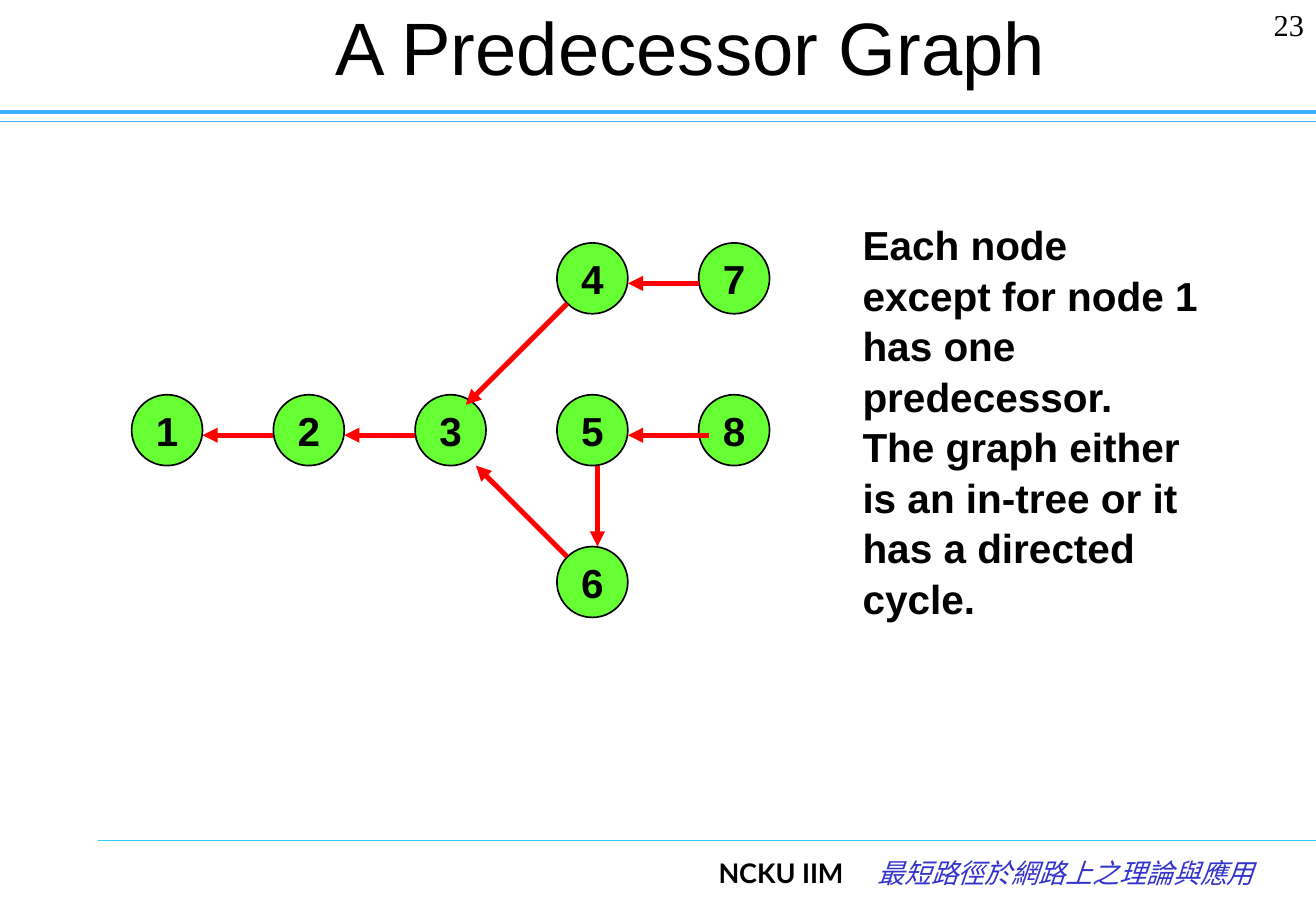
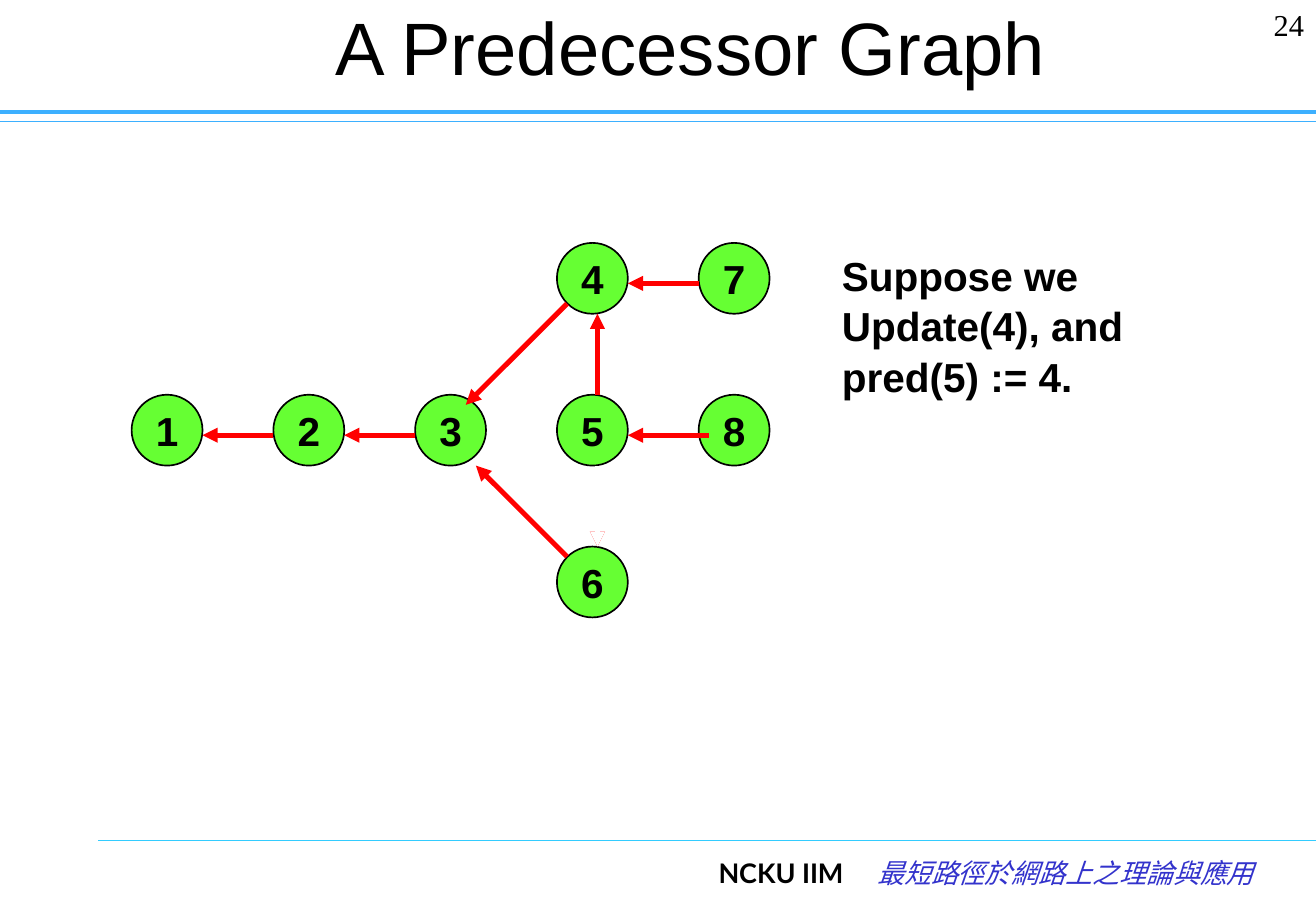
from dataclasses import dataclass

from lxml.etree import SubElement
from pptx import Presentation
from pptx.dml.color import RGBColor
from pptx.enum.shapes import MSO_CONNECTOR, MSO_SHAPE
from pptx.enum.text import MSO_ANCHOR, PP_ALIGN
from pptx.oxml.ns import qn
from pptx.slide import Slide
from pptx.text.text import TextFrame
from pptx.util import Inches, Pt

COLORS = {
    "ink": "000000",
    "paper": "FFFFFF",
    "band": "3DB0FF",
    "footer_line": "33CCFF",
    "course": "3333CC",
    "node": "66FF33",
    "edge": "FF0000",
}
SLIDE_WIDTH, SLIDE_HEIGHT = 10.83, 7.5
TITLE_ONLY_LAYOUT = 5
UNITS_PER_INCH = 12  # the graph lies on a grid of twelfths of an inch
NODE_SIZE = 7

Point = tuple[float, float]
Box = tuple[float, float, float, float]


@dataclass(frozen=True)
class Node:
    column: int
    row: int

    @property
    def corner(self) -> Point:
        return 13 + 14 * self.column, 24 + 15 * self.row


@dataclass(frozen=True)
class Edge:
    """An arrow; leave and enter are grid offsets from the node corners."""
    source: int
    target: int
    leave: Point
    enter: Point
    color: str = "edge"


@dataclass(frozen=True)
class Rule:
    left: float
    top: float
    color: str
    width: float


@dataclass(frozen=True)
class GraphSlide:
    number: int
    remark: str
    remark_box: Box
    extra_edges: tuple[Edge, ...] = ()


RULES = [
    Rule(0, 1, "band", 0.75),
    Rule(0, 0.92, "band", 2.5),
    Rule(0.81, 6.92, "footer_line", 0.75),
]
NODES = {
    1: Node(0, 1), 2: Node(1, 1), 3: Node(2, 1), 4: Node(3, 0),
    7: Node(4, 0), 6: Node(3, 2), 5: Node(3, 1), 8: Node(4, 1),
}
EDGES = (
    Edge(2, 1, (0, 4), (7, 4)),
    Edge(3, 2, (0, 4), (7, 4)),
    Edge(8, 5, (1, 4), (7, 4)),
    Edge(5, 6, (4, 7), (4, 0)),
    Edge(6, 3, (1, 1), (6, 7)),
    Edge(4, 3, (1, 6), (5, 1)),
    Edge(7, 4, (0, 4), (7, 4)),
)
SLIDES = [
    GraphSlide(
        23,
        "Each node except for node 1 has one predecessor.  "
        "The graph either is an in-tree or it has a directed cycle.",
        (7, 1.75, 3, 3.33),
    ),
    GraphSlide(
        24,
        "Suppose we Update(4), and pred(5) := 4.",
        (6.83, 2, 2.67, 1.31),
        (
            Edge(5, 6, (4, 7), (4, 0), "paper"),
            Edge(5, 4, (4, 0), (4, 7)),
        ),
    ),
]


def rgb(name: str) -> RGBColor:
    return RGBColor.from_string(COLORS[name])


def write_text(frame: TextFrame, text: str, *, size: float = 24,
               font: str = "Arial", color: str = "ink", bold: bool = False,
               italic: bool = False, align: PP_ALIGN = PP_ALIGN.LEFT,
               anchor: MSO_ANCHOR = MSO_ANCHOR.TOP, wrap: bool = True,
               line_spacing: float = 1.0) -> None:
    frame.word_wrap = wrap
    frame.vertical_anchor = anchor
    paragraph = frame.paragraphs[0]
    paragraph.alignment = align
    paragraph.line_spacing = line_spacing
    run = paragraph.add_run()
    run.text = text
    run.font.size = Pt(size)
    run.font.name = font
    run.font.bold = bold
    run.font.italic = italic
    run.font.color.rgb = rgb(color)


def add_text(slide: Slide, box: Box, text: str, **text_format) -> None:
    shape = slide.shapes.add_textbox(*map(Inches, box))
    write_text(shape.text_frame, text, **text_format)


def add_line(slide: Slide, start: Point, end: Point, color: str,
             width: float, arrow: bool = False) -> None:
    connector = slide.shapes.add_connector(
        MSO_CONNECTOR.STRAIGHT, *map(Inches, (*start, *end)))
    connector.line.color.rgb = rgb(color)
    connector.line.width = Pt(width)
    if arrow:
        SubElement(connector.get_or_add_ln(), qn("a:tailEnd"), type="triangle")
    SubElement(connector._element.spPr, qn("a:effectLst"))


def add_node(slide: Slide, label: int, node: Node) -> None:
    left, top = node.corner
    shape = slide.shapes.add_shape(
        MSO_SHAPE.OVAL,
        *(Inches(value / UNITS_PER_INCH)
          for value in (left, top, NODE_SIZE, NODE_SIZE)))
    shape.shadow.inherit = False
    shape.fill.solid()
    shape.fill.fore_color.rgb = rgb("node")
    shape.line.color.rgb = rgb("ink")
    shape.line.width = Pt(1)
    write_text(shape.text_frame, str(label), bold=True, wrap=False,
               align=PP_ALIGN.CENTER, anchor=MSO_ANCHOR.MIDDLE)


def grid_point(node: Node, offset: Point) -> Point:
    left, top = node.corner
    return ((left + offset[0]) / UNITS_PER_INCH,
            (top + offset[1]) / UNITS_PER_INCH)


def add_edge(slide: Slide, edge: Edge) -> None:
    add_line(slide, grid_point(NODES[edge.source], edge.leave),
             grid_point(NODES[edge.target], edge.enter),
             edge.color, 3, arrow=True)


def add_frame(slide: Slide, number: int) -> None:
    # Rules and footer
    for rule in RULES:
        add_line(slide, (rule.left, rule.top), (SLIDE_WIDTH, rule.top),
                 rule.color, rule.width)
    add_text(slide, (5.04, 7, 2, 0.5), "NCKU IIM", size=16, font="Lato",
             bold=True, align=PP_ALIGN.RIGHT)
    add_text(slide, (7.04, 7, 3.38, 0.5), "最短路徑於網路上之理論與應用",
             size=16, font="Courier New", color="course", italic=True,
             align=PP_ALIGN.RIGHT)

    # Slide number and title
    add_text(slide, (9.93, 0, 0.9, 0.5), str(number), size=18,
             font="Times New Roman", align=PP_ALIGN.RIGHT)
    title = slide.shapes.title
    title.left, title.top, title.width, title.height = map(
        Inches, (1.44, 0, 8.49, 0.75))
    write_text(title.text_frame, "A Predecessor Graph", size=44,
               align=PP_ALIGN.CENTER, anchor=MSO_ANCHOR.MIDDLE)


def main() -> None:
    presentation = Presentation()
    presentation.slide_width = Inches(SLIDE_WIDTH)
    presentation.slide_height = Inches(SLIDE_HEIGHT)
    layout = presentation.slide_layouts[TITLE_ONLY_LAYOUT]
    for content in SLIDES:
        slide = presentation.slides.add_slide(layout)
        add_frame(slide, content.number)
        add_text(slide, content.remark_box, content.remark, bold=True,
                 line_spacing=1.04)
        # Graph
        for label, node in NODES.items():
            add_node(slide, label, node)
        for edge in EDGES + content.extra_edges:
            add_edge(slide, edge)
    presentation.save("out.pptx")


if __name__ == "__main__":
    main()
